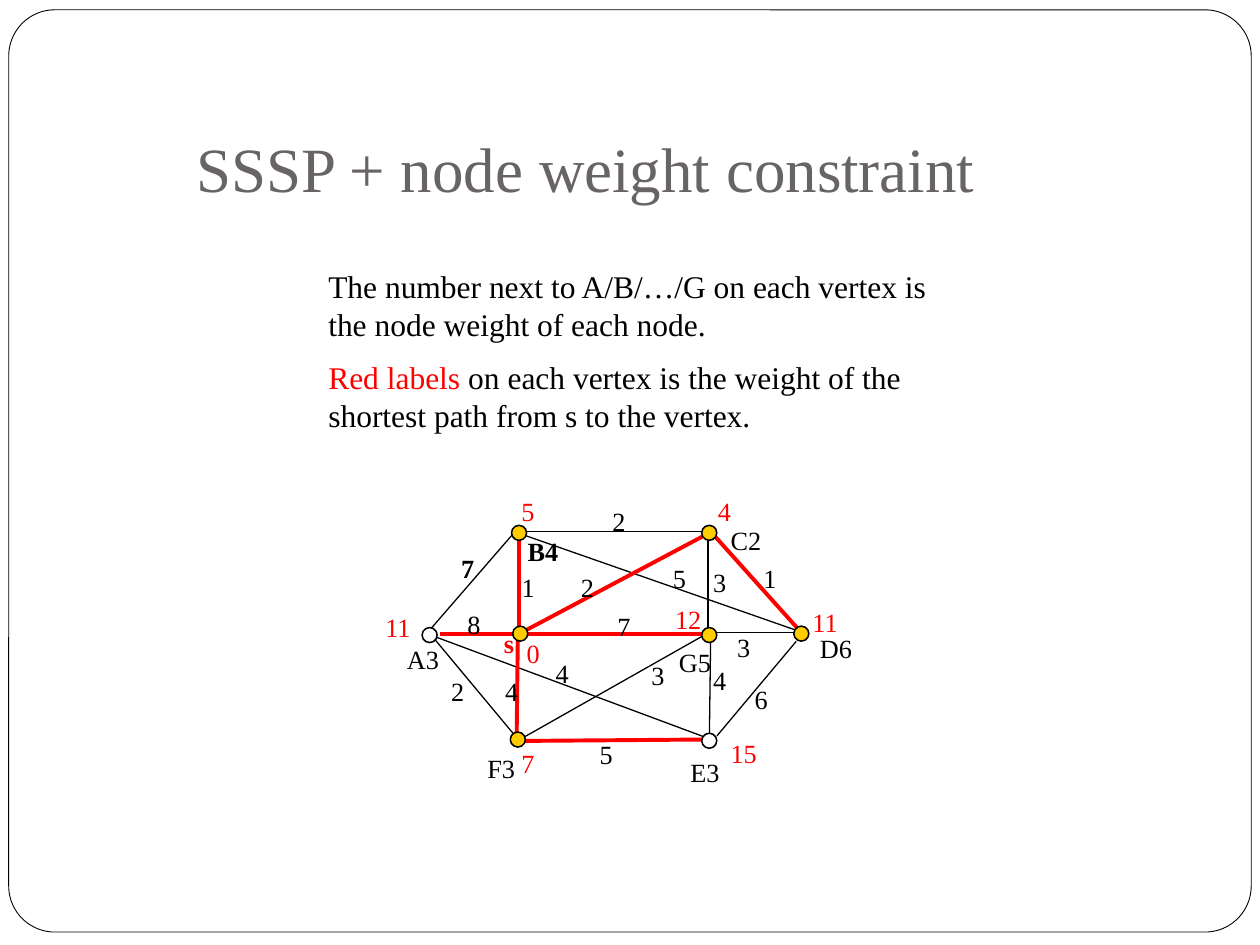
"""Build the slide on shortest paths with a node weight constraint."""
from dataclasses import dataclass

from pptx import Presentation
from pptx.dml.color import RGBColor as Rgb
from pptx.enum.shapes import MSO_CONNECTOR as Link, MSO_SHAPE as Preset
from pptx.enum.text import MSO_ANCHOR as Anchor
from pptx.oxml.ns import qn
from pptx.util import Pt


@dataclass(frozen=True)
class Theme:
    font: str = "Times New Roman"
    title_size: float = 36
    body_size: float = 18
    label_size: float = 15
    black: str = "000000"
    white: str = "FFFFFF"
    red: str = "FF0000"
    gold: str = "FFCC00"
    gray: str = "696464"
    frame_line: float = 0.5
    edge_line: float = 0.75
    node_line: float = 0.88
    path_line: float = 2.25


THEME = Theme()
BLACK, RED = THEME.black, THEME.red
NODE_SIZE = 8.6
EDGE_LABEL = (8, 18)
VERTEX_LABEL = (44, 25.2)
TEXT_INSETS = (7.2, 3.6, 7.2, 3.6)
NO_INSETS = (0, 0, 0, 0)

TITLE = "SSSP + node weight constraint"
EXPLANATION = [
    [("The number next to A/B/…/G on each vertex is the node weight of each node.", BLACK)],
    [("Red labels", RED),
     (" on each vertex is the weight of the shortest path from s to the vertex.", BLACK)],
]

PLAIN_EDGES = [
    (299.5, 303.8, 401.8, 303.8), (293, 305.3, 246.2, 359.3),
    (247, 363.6, 293.8, 419.8), (455, 366.5, 409.7, 420.5),
    (408.2, 361.4, 453.6, 361.4), (404.6, 308.2, 404.6, 358.6),
    (406.1, 364.3, 405.4, 419), (298.1, 305.3, 456.5, 360.7),
    (402.5, 362.9, 299.5, 421.2), (249.8, 364.3, 404.6, 421.9),
]
PATH_EDGES = [
    (299.5, 423.4, 401.8, 422.6), (251.3, 362.2, 295.2, 362.2),
    (300.2, 362.2, 401, 362.2), (296.6, 306.7, 296.6, 360),
    (295.9, 365, 295.2, 423.4), (402.5, 306, 299.5, 360.7),
    (407.5, 305.3, 457.2, 360.7),
]
EDGE_WEIGHTS = [
    ("7", 352.8, 348.5), ("2", 349.9, 288.7), ("1", 298.1, 326.2),
    ("2", 331.9, 326.2), ("3", 407.5, 323.3), ("1", 436.3, 321.1),
    ("2", 257.8, 385.9), ("4", 317.5, 375.8), ("4", 288.7, 385.9),
    ("8", 267.1, 347.8), ("3", 372.2, 376.6), ("5", 342.7, 421.9),
    ("3", 421.2, 360.7), ("4", 407.5, 379.4), ("6", 431.3, 390.2),
    ("5", 384.5, 321.1),
]
BOLD_EDGE_WEIGHTS = [("7", 263.5, 315.4)]
SOURCE_NAME = [("s", 288, 358.6)]
SOURCE_DISTANCE = [("0", 301, 364.3)]

HEAVY_NODES = [(241.2, 358.6), (401, 419)]
REACHED_NODES = [
    (292.3, 300.2), (401, 300.2), (293, 357.8),
    (401, 358.6), (453.6, 357.8), (291.6, 418.3),
]
DISTANCES = [
    ("5", 290.9, 279.4), ("4", 403.2, 279.4), ("11", 213.1, 345.6),
    ("12", 378.7, 341.3), ("7", 290.9, 423.4), ("11", 457.2, 342.7),
    ("15", 410.4, 417.6),
]
NODE_NAMES = [
    ("A3", 225.4, 364.3), ("C2", 410.4, 295.9), ("D6", 461.5, 357.8),
    ("E3", 387.4, 428.4), ("F3", 271.4, 426.2), ("G5", 380.9, 365.8),
]
BOLD_NODE_NAMES = [("B4", 294.5, 302.4)]


def add_text(slide, box, paragraphs, size, insets, bold=False, anchor=Anchor.TOP):
    frame = slide.shapes.add_textbox(*map(Pt, box)).text_frame
    frame.word_wrap = True
    frame.vertical_anchor = anchor
    (frame.margin_left, frame.margin_top,
     frame.margin_right, frame.margin_bottom) = map(Pt, insets)
    for index, runs in enumerate(paragraphs):
        paragraph = frame.add_paragraph() if index else frame.paragraphs[0]
        if index:
            paragraph.space_before = Pt(size / 2)
        for words, color in runs:
            run = paragraph.add_run()
            run.text = words
            run.font.name = THEME.font
            run.font.size = Pt(size)
            run.font.bold = bold
            run.font.color.rgb = Rgb.from_string(color)


def add_labels(slide, labels, extent, insets, color, bold=False):
    for words, x, y in labels:
        add_text(slide, (x, y, *extent), [[(words, color)]],
                 THEME.label_size, insets, bold)


def add_outlined(slide, preset, box, fill, line_width):
    outlined = slide.shapes.add_shape(preset, *map(Pt, box))
    outlined.shadow.inherit = False
    outlined.fill.solid()
    outlined.fill.fore_color.rgb = Rgb.from_string(fill)
    outlined.line.color.rgb = Rgb.from_string(BLACK)
    outlined.line.width = Pt(line_width)
    return outlined


def add_edges(slide, edges, color, width):
    for ends in edges:
        edge = slide.shapes.add_connector(Link.STRAIGHT, *map(Pt, ends))
        edge.line.color.rgb = Rgb.from_string(color)
        edge.line.width = Pt(width)
        properties = edge.element.spPr
        properties.append(properties.makeelement(qn("a:effectLst"), {}))


def add_nodes(slide, nodes, fill):
    for x, y in nodes:
        add_outlined(slide, Preset.OVAL, (x, y, NODE_SIZE, NODE_SIZE),
                     fill, THEME.node_line)


def main():
    deck = Presentation()
    deck.slide_width, deck.slide_height = Pt(720), Pt(540)
    slide = deck.slides.add_slide(deck.slide_layouts[6])

    frame = add_outlined(slide, Preset.ROUNDED_RECTANGLE, (5, 5.6, 710, 527),
                         THEME.white, THEME.frame_line)
    frame.adjustments[0] = 0.05
    add_text(slide, (105, 52.5, 476, 72), [[(TITLE, THEME.gray)]],
             THEME.title_size, (7.2, 3.6, 7.2, 7.2), anchor=Anchor.BOTTOM)

    add_edges(slide, PLAIN_EDGES, BLACK, THEME.edge_line)
    add_edges(slide, PATH_EDGES, RED, THEME.path_line)
    add_labels(slide, SOURCE_NAME, EDGE_LABEL, NO_INSETS, RED, bold=True)
    add_labels(slide, EDGE_WEIGHTS, EDGE_LABEL, NO_INSETS, BLACK)
    add_labels(slide, BOLD_EDGE_WEIGHTS, EDGE_LABEL, NO_INSETS, BLACK, bold=True)
    add_labels(slide, SOURCE_DISTANCE, EDGE_LABEL, NO_INSETS, RED)
    add_nodes(slide, HEAVY_NODES, THEME.white)
    add_nodes(slide, REACHED_NODES, THEME.gold)
    add_labels(slide, DISTANCES, VERTEX_LABEL, TEXT_INSETS, RED)
    add_text(slide, (180.5, 149, 375, 105), EXPLANATION, THEME.body_size, TEXT_INSETS)
    add_labels(slide, NODE_NAMES, VERTEX_LABEL, TEXT_INSETS, BLACK)
    add_labels(slide, BOLD_NODE_NAMES, VERTEX_LABEL, TEXT_INSETS, BLACK, bold=True)
    deck.save("out.pptx")


if __name__ == "__main__":
    main()
